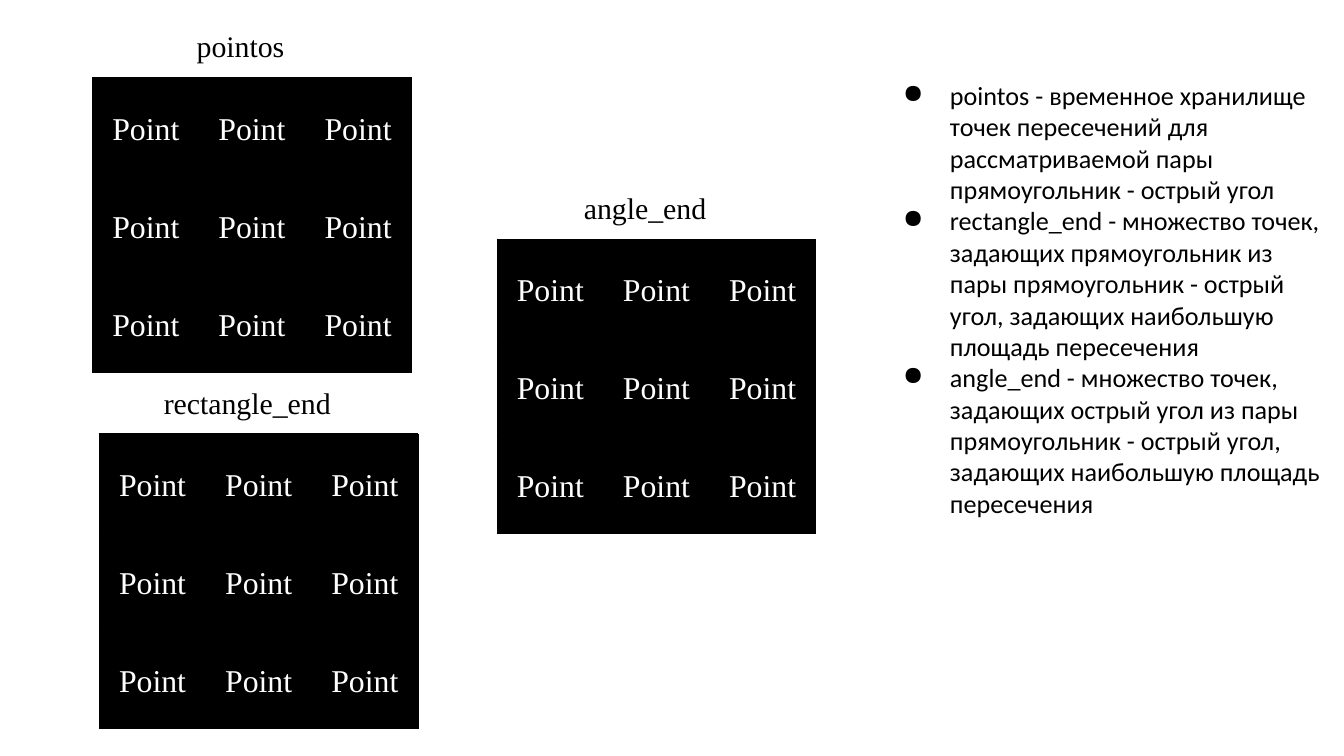
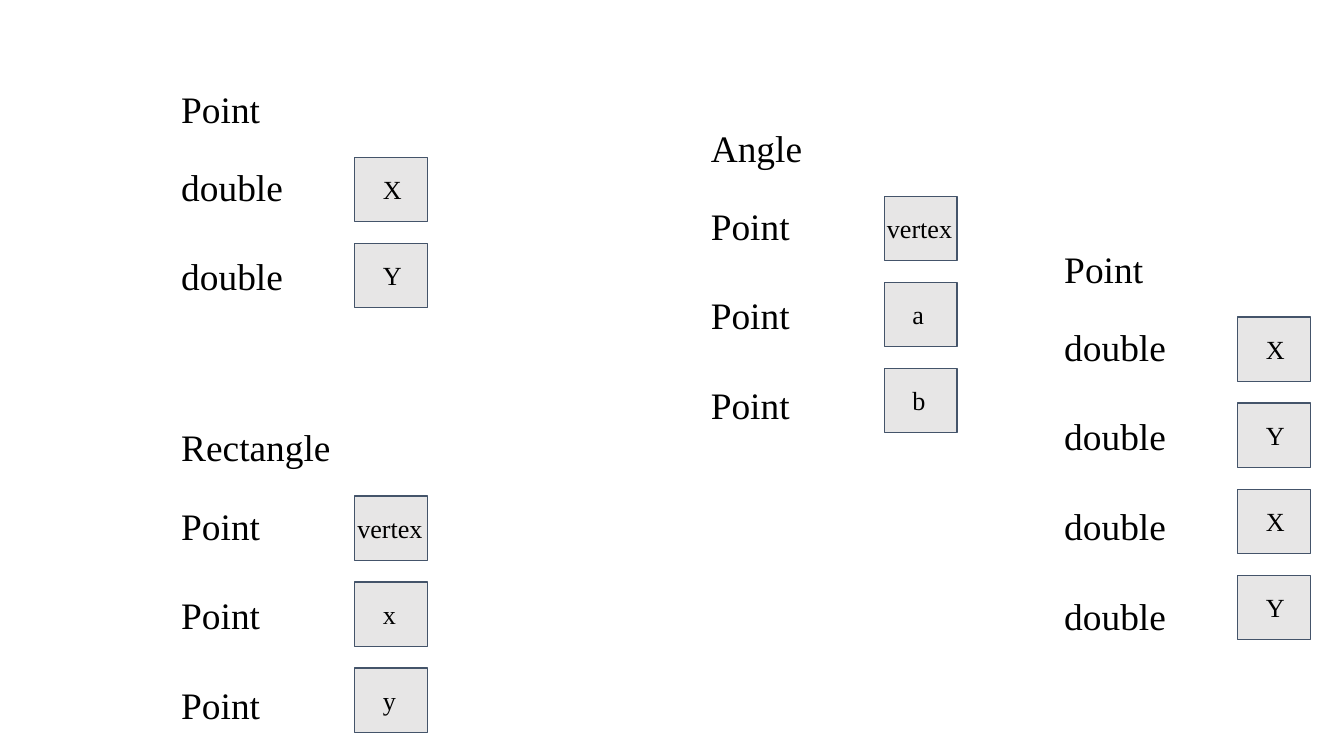
from dataclasses import dataclass

from lxml import etree
from pptx import Presentation
from pptx.dml.color import RGBColor
from pptx.enum import shapes, text
from pptx.oxml import ns
from pptx.util import Inches, Pt


@dataclass(frozen=True)
class Theme:
    ink: str = "000000"
    paper: str = "FFFFFF"
    member_fill: str = "E7E6E6"
    member_line: str = "44546A"
    serif: str = "Times New Roman"
    sans: str = "Calibri"
    caption: int = 16
    cell: int = 17
    body: int = 14
    struct: int = 20
    inset: float = 0.1


THEME = Theme()
GRID = 3
CELL_WIDTH, CELL_HEIGHT = 0.79, 0.73
MEMBER_WIDTH, MEMBER_HEIGHT, MEMBER_PITCH = 0.54, 0.48, 0.64

# (name, left, top of its caption)
POINT_SETS = [
    ("rectangle_end", 0.74, 2.76),
    ("pointos", 0.69, 0.11),
    ("angle_end", 3.7, 1.31),
]
NOTES = [
    "pointos - временное хранилище точек пересечений для рассматриваемой пары "
    "прямоугольник - острый угол",
    "rectangle_end - множество точек, задающих прямоугольник из пары "
    "прямоугольник - острый угол, задающих наибольшую площадь пересечения",
    "angle_end - множество точек, задающих острый угол из пары "
    "прямоугольник - острый угол, задающих наибольшую площадь пересечения",
]
# (name, left, top, member type, member names)
STRUCTS = [
    ("Point", 1.25, 0.54, "double", ["X", "Y"]),
    ("Angle", 5.19, 0.83, "Point", ["vertex", "a", "b"]),
    ("Rectangle", 1.25, 3.06, "Point", ["vertex", "x", "y"]),
    ("Point", 7.82, 1.73, "double", ["X", "Y", "X", "Y"]),
]


def style(paragraph, size, face=THEME.serif, color=THEME.ink, **paragraph_format):
    for attribute, value in paragraph_format.items():
        setattr(paragraph, attribute, value)
    for styled in (paragraph, *paragraph.runs):
        styled.font.size = Pt(size)
        styled.font.name = face
        styled.font.color.rgb = RGBColor.from_string(color)


def set_insets(target):
    for side in ("left", "right", "top", "bottom"):
        setattr(target, f"margin_{side}", Inches(THEME.inset))


def add_bullet(paragraph, size):
    properties = paragraph._p.get_or_add_pPr()
    properties.set("marL", str(Inches(0.5)))
    properties.set("indent", str(Inches(-0.35)))
    color = etree.SubElement(properties, ns.qn("a:buClr"))
    etree.SubElement(color, ns.qn("a:srgbClr"), val=THEME.ink)
    etree.SubElement(properties, ns.qn("a:buSzPts"), val=str(size * 100))
    etree.SubElement(properties, ns.qn("a:buChar"), char="●")


def add_text(slide, box, lines, size, gap=0, bulleted=False, **formats):
    """Write one paragraph per line, with gap points between them."""
    frame = slide.shapes.add_textbox(*map(Inches, box)).text_frame
    frame.word_wrap = True
    set_insets(frame)
    frame.text = "\n".join(lines)
    for index, paragraph in enumerate(frame.paragraphs):
        if bulleted:
            add_bullet(paragraph, size)
        style(paragraph, size, space_before=Pt(gap if index else 0), **formats)


def add_borders(cell, color):
    properties = cell._tc.get_or_add_tcPr()
    for position, side in enumerate("LRTB"):
        border = etree.Element(ns.qn(f"a:ln{side}"), w=str(Pt(0.75)))
        fill = etree.SubElement(border, ns.qn("a:solidFill"))
        etree.SubElement(fill, ns.qn("a:srgbClr"), val=color)
        properties.insert(position, border)


def add_point_set(slide, name, left, top):
    """Place a caption and, right under it, a grid of points."""
    caption_height = 0.47
    box = (left, top + caption_height, GRID * CELL_WIDTH, GRID * CELL_HEIGHT)
    table = slide.shapes.add_table(GRID, GRID, *map(Inches, box)).table
    table.first_row = table.horz_banding = False
    for column in table.columns:
        column.width = Inches(CELL_WIDTH)
    for row in table.rows:
        row.height = Inches(CELL_HEIGHT)
    for cell in table.iter_cells():
        cell.text = "Point"
        cell.vertical_anchor = text.MSO_ANCHOR.MIDDLE
        set_insets(cell)
        cell.fill.solid()
        cell.fill.fore_color.rgb = RGBColor.from_string(THEME.ink)
        add_borders(cell, THEME.ink)
        style(cell.text_frame.paragraphs[0], THEME.cell, color=THEME.paper,
              alignment=text.PP_ALIGN.CENTER, line_spacing=1.15)
    add_text(slide, (left, top, 2.2, caption_height), [name], THEME.caption,
             alignment=text.PP_ALIGN.CENTER)


def add_member(slide, name, left, top):
    square = slide.shapes.add_shape(
        shapes.MSO_SHAPE.RECTANGLE,
        *map(Inches, (left, top, MEMBER_WIDTH, MEMBER_HEIGHT)))
    square.shadow.inherit = False
    square.fill.solid()
    square.fill.fore_color.rgb = RGBColor.from_string(THEME.member_fill)
    square.line.color.rgb = RGBColor.from_string(THEME.member_line)
    square.line.width = Pt(0.75)
    shift, width = (0.11, 0.39) if len(name) == 1 else (-0.08, 1.22)
    add_text(slide, (left + shift, top + 0.02, width, 0.44), [name], THEME.body)


def add_struct(slide, name, left, top, kind, members):
    """Place a struct's name, its member types and a square per member."""
    count = len(members)
    name_width = 1.44 if len(name) > 5 else 1.22
    add_text(slide, (left, top, name_width, 0.54), [name], THEME.struct)
    add_text(slide, (left, top + 0.58, 1.59, 0.54 + 0.67 * (count - 1)),
             [kind] * count, THEME.struct, gap=24)
    for index, member in enumerate(members):
        add_member(slide, member, left + 1.39, top + 0.63 + index * MEMBER_PITCH)


def add_blank_slide(deck):
    slide = deck.slides.add_slide(deck.slide_layouts[6])
    slide.background.fill.solid()
    slide.background.fill.fore_color.rgb = RGBColor.from_string(THEME.paper)
    return slide


def build_point_sets_slide(deck):
    slide = add_blank_slide(deck)
    for point_set in POINT_SETS:
        add_point_set(slide, *point_set)
    add_text(slide, (6.47, 0.49, 3.53, 3.5), NOTES, THEME.body,
             bulleted=True, face=THEME.sans)


def build_structs_slide(deck):
    slide = add_blank_slide(deck)
    for struct in STRUCTS:
        add_struct(slide, *struct)


def main():
    deck = Presentation()
    deck.slide_width = Inches(10)
    deck.slide_height = deck.slide_width * 9 // 16
    build_point_sets_slide(deck)
    build_structs_slide(deck)
    deck.save("out.pptx")


if __name__ == "__main__":
    main()
